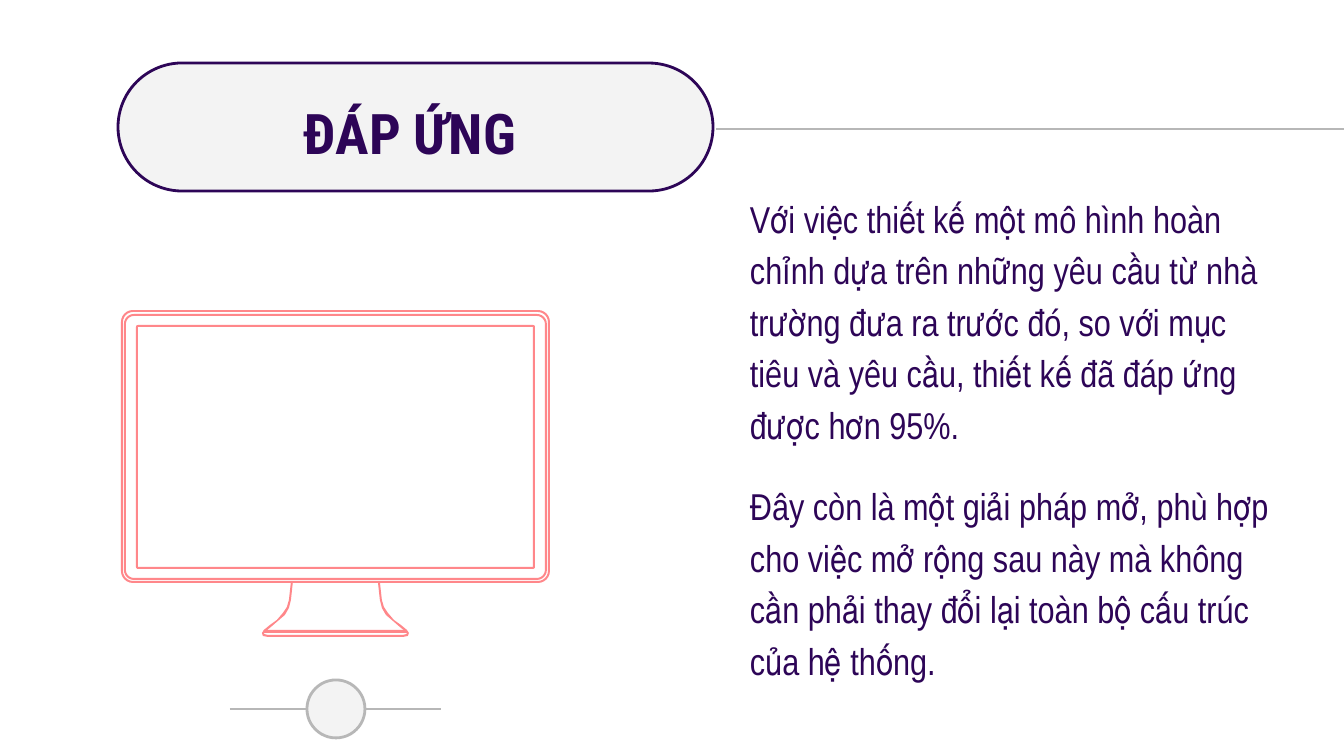
"""Builds a slide with a title pill, a monitor drawing and two paragraphs."""
from math import cos, pi, sin

from lxml.etree import SubElement
from pptx import Presentation
from pptx.dml.color import RGBColor
from pptx.enum.shapes import MSO_CONNECTOR, MSO_SHAPE
from pptx.enum.text import MSO_ANCHOR, PP_ALIGN
from pptx.oxml.ns import qn
from pptx.util import Pt

EMU_PER_PX = 914400 / 134.4
WIDTH, HEIGHT = 1344, 756
INSET = 13
LINE_WIDTH = Pt(1.5)

PURPLE = RGBColor(0x2D, 0x05, 0x57)
CORAL = RGBColor(0xFF, 0x87, 0x8A)
GRAY = RGBColor(0xB7, 0xB7, 0xB7)
PALE = RGBColor(0xF3, 0xF3, 0xF3)

HEADING = "ĐÁP ỨNG"
PARAGRAPHS = [
    "Với việc thiết kế một mô hình hoàn chỉnh dựa trên những yêu cầu từ nhà "
    "trường đưa ra trước đó, so với mục tiêu và yêu cầu, thiết kế đã đáp ứng "
    "được hơn 95%.",
    "Đây còn là một giải pháp mở, phù hợp cho việc mở rộng sau này mà không "
    "cần phải thay đổi lại toàn bộ cấu trúc của hệ thống.",
]

MONITOR_FRAMES = [
    (121, 310, 429, 273, 12),
    (124, 314, 423, 266, 10),
    (136, 325, 399, 244, 2),
]
MONITOR_SPAN = 671
STAND_OUTER = [(291, 582), (289, 600), (287, 607), (283, 613), (277, 620),
               (270, 625), (264, 630), (262, 633), (263, 636), (268, 637)]
STAND_INNER = [(293, 582), (291, 600), (289, 608), (285, 615), (278, 621),
               (271, 627), (265, 632), (264, 634), (268, 635)]


def px(length):
    return round(length * EMU_PER_PX)


def rounded_contour(left, top, width, height, radius, steps=6):
    right, bottom = left + width - radius, top + height - radius
    centers = [(right, bottom), (left + radius, bottom),
               (left + radius, top + radius), (right, top + radius)]
    return [(x + radius * cos(angle), y + radius * sin(angle))
            for quarter, (x, y) in enumerate(centers)
            for angle in ((quarter + step / steps) * pi / 2
                          for step in range(steps + 1))]


def frame_contours(left, top, width, height, radius, band=2):
    outer = rounded_contour(left, top, width, height, radius)
    inner = rounded_contour(left + band, top + band, width - 2 * band,
                            height - 2 * band, radius - band)
    return [outer, inner[::-1]]


def mirrored(points):
    return [(MONITOR_SPAN - x, y) for x, y in points]


class SlideStyle:
    def __init__(self, slide):
        self.shapes = slide.shapes

    def paint(self, shape, fill, line=None):
        shape.shadow.inherit = False
        shape.fill.solid()
        shape.fill.fore_color.rgb = fill
        if line is None:
            shape.line.fill.background()
        else:
            shape.line.color.rgb = line
            shape.line.width = LINE_WIDTH
        return shape

    def preset(self, kind, left, top, width, height, fill, line=None):
        shape = self.shapes.add_shape(
            kind, px(left), px(top), px(width), px(height))
        return self.paint(shape, fill, line)

    def rule(self, left, right, y):
        rule = self.shapes.add_connector(
            MSO_CONNECTOR.STRAIGHT, px(left), px(y), px(right), px(y))
        rule.line.color.rgb = GRAY
        rule.line.width = LINE_WIDTH
        SubElement(rule.element.spPr, qn("a:effectLst"))

    def outline(self, contours, fill):
        first, *others = [[(px(x), px(y)) for x, y in contour]
                          for contour in contours]
        builder = self.shapes.build_freeform(*first[0])
        builder.add_line_segments(first[1:], close=True)
        for contour in others:
            builder.move_to(*contour[0])
            builder.add_line_segments(contour[1:], close=True)
        self.paint(builder.convert_to_shape(), fill)

    def text(self, paragraphs, left, top, width, height, *, font, size,
             bold=False, align=PP_ALIGN.LEFT, anchor=MSO_ANCHOR.TOP,
             spacing=1.0, after=0):
        frame = self.shapes.add_textbox(
            px(left), px(top), px(width), px(height)).text_frame
        frame.word_wrap = True
        frame.vertical_anchor = anchor
        frame.margin_left = frame.margin_right = px(INSET)
        frame.margin_top = frame.margin_bottom = px(INSET)
        frame.text = "\n".join(paragraphs)
        for paragraph in frame.paragraphs:
            paragraph.alignment = align
            paragraph.line_spacing = spacing
            paragraph.space_after = Pt(after)
            paragraph.font.name = font
            paragraph.font.size = Pt(size)
            paragraph.font.bold = bold
            paragraph.font.color.rgb = PURPLE


def main():
    deck = Presentation()
    deck.slide_width, deck.slide_height = px(WIDTH), px(HEIGHT)
    style = SlideStyle(deck.slides.add_slide(deck.slide_layouts[6]))

    style.rule(716, WIDTH, 129)
    pill = style.preset(MSO_SHAPE.ROUNDED_RECTANGLE, 118, 63, 595, 128,
                        PALE, PURPLE)
    pill.adjustments[0] = 0.5
    style.rule(230, 441, 709)
    style.preset(MSO_SHAPE.OVAL, 307, 680, 58, 58, PALE, GRAY)

    style.text([HEADING], 113, 73, 594, 118, font="Roboto Condensed", size=30,
               bold=True, align=PP_ALIGN.CENTER, anchor=MSO_ANCHOR.MIDDLE)
    style.text(PARAGRAPHS, 737, 176, 552, 533, font="Arial Narrow", size=20,
               spacing=1.15, after=16)

    for frame in MONITOR_FRAMES:
        style.outline(frame_contours(*frame), CORAL)
    stand = (STAND_OUTER + mirrored(STAND_OUTER)[::-1]
             + mirrored(STAND_INNER) + STAND_INNER[::-1])
    style.outline([stand], CORAL)
    style.preset(MSO_SHAPE.RECTANGLE, 264, 630, 143, 3, CORAL)

    deck.save("out.pptx")


if __name__ == "__main__":
    main()
